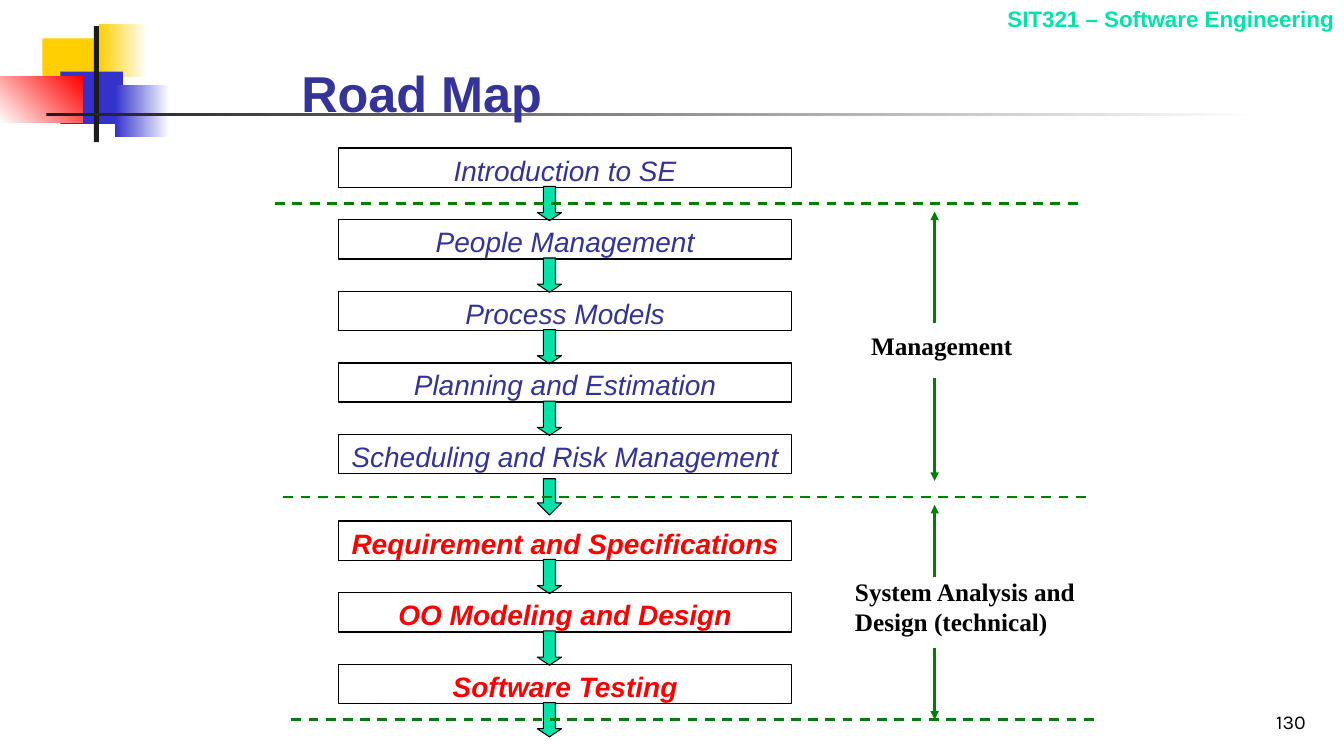
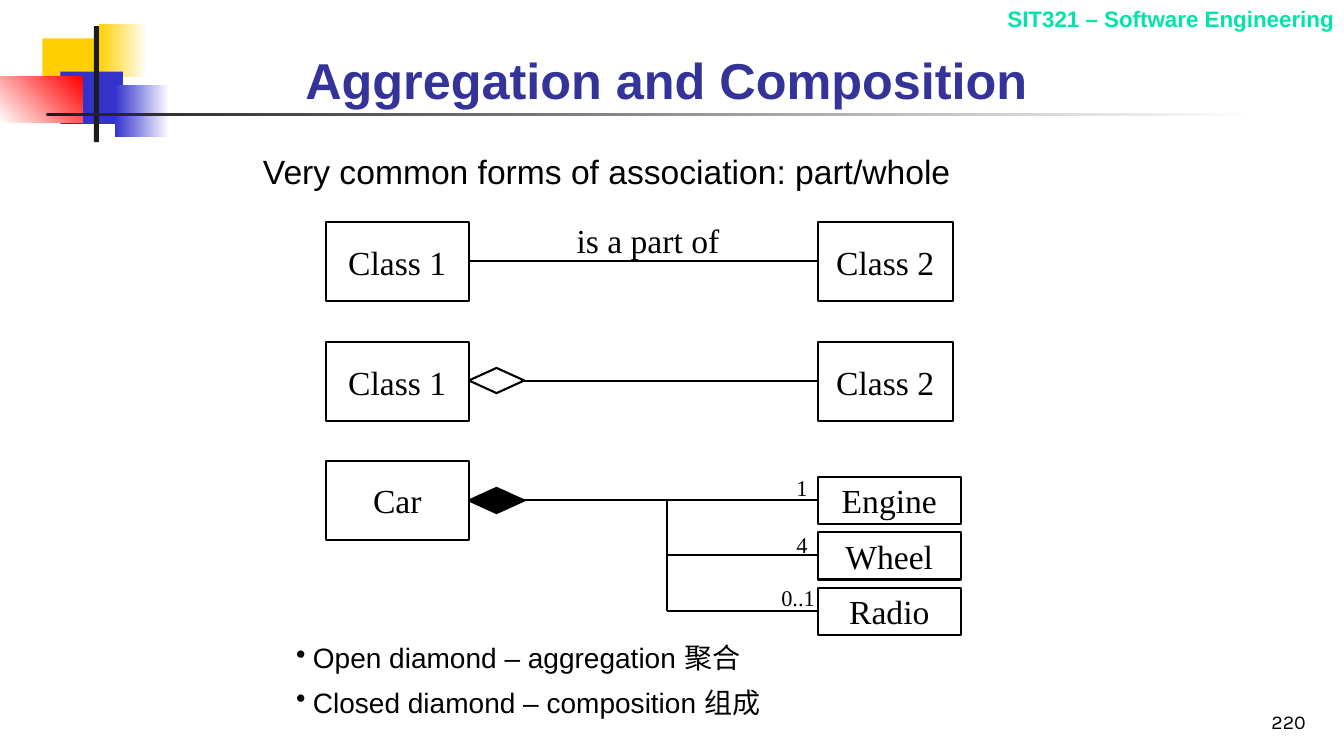
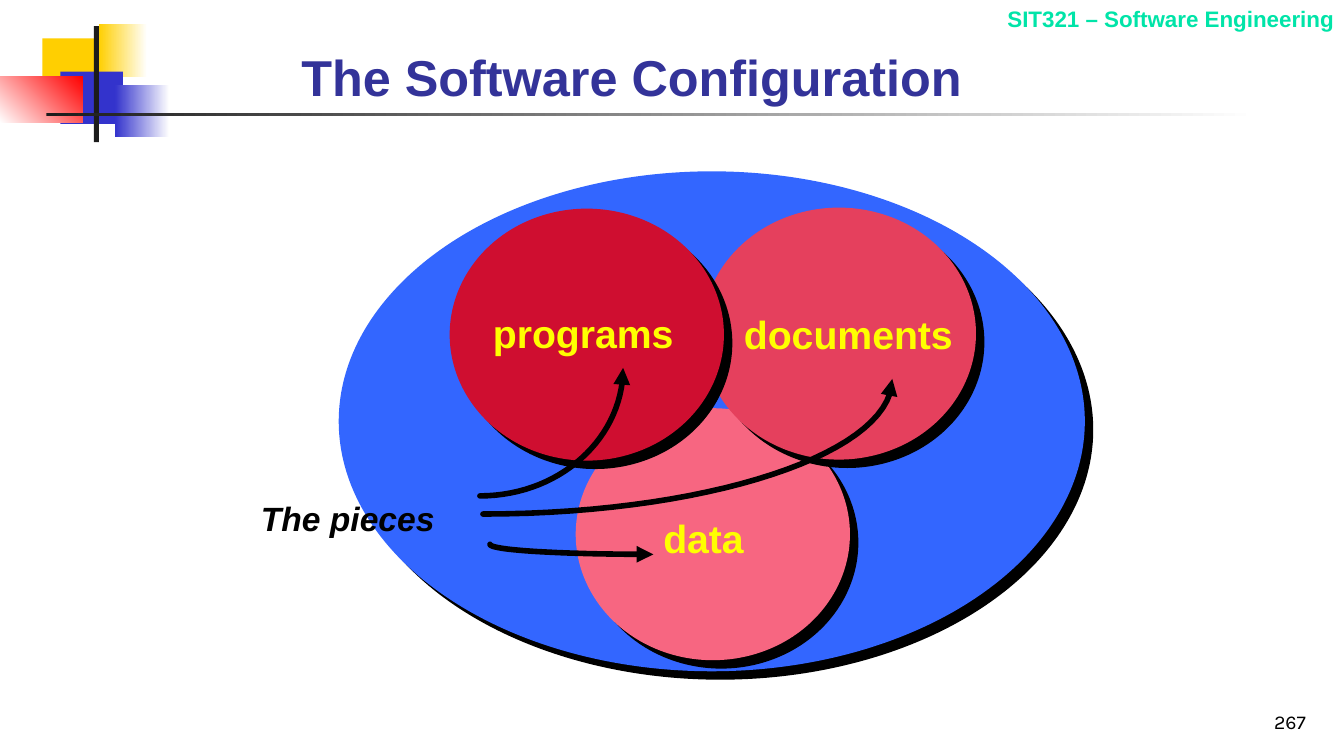
from lxml.etree import SubElement
from pptx import Presentation
from pptx.dml.color import RGBColor
from pptx.enum.dml import MSO_LINE
from pptx.enum.shapes import MSO_CONNECTOR, MSO_SHAPE as SHAPE
from pptx.enum.text import MSO_ANCHOR as ANCHOR, PP_ALIGN as ALIGN
from pptx.oxml.ns import qn
from pptx.util import Inches, Pt

# Shared colours and fonts
BLACK, WHITE, DARK = "000000", "FFFFFF", "1C1C1C"
NAVY, BLUE, GOLD, RED = "333399", "3333CC", "FFCF01", "FF0000"
MINT, GREEN, SKY, YELLOW = "00E4A8", "008000", "3366FF", "FFFF00"
SANS, SERIF, NUMBER_FONT = "Arial", "Times New Roman", "Karla"


def color(value):
    return RGBColor.from_string(value)


# Element helpers
def write_text(shape, text, size=24, font=SANS, fill=BLACK, bold=False, italic=False,
               align=ALIGN.LEFT, anchor=ANCHOR.TOP, wrap=True, inset=None,
               bullet=None, line_height=None):
    frame = shape.text_frame
    frame.word_wrap = wrap
    frame.vertical_anchor = anchor
    if inset is not None:
        frame.margin_left = frame.margin_right = Inches(inset)
        frame.margin_top = frame.margin_bottom = Inches(inset)
    frame.text = text
    for paragraph in frame.paragraphs:
        if bullet:
            properties = paragraph._p.get_or_add_pPr()
            properties.set("marL", str(Inches(0.165)))
            properties.set("indent", str(-Inches(0.165)))
            SubElement(properties, qn("a:buChar"), char=bullet)
        if line_height:
            paragraph.line_spacing = Pt(line_height)
        paragraph.alignment = align
        paragraph.font.name = font
        paragraph.font.size = Pt(size)
        paragraph.font.bold = bold
        paragraph.font.italic = italic
        paragraph.font.color.rgb = color(fill)


def add_text(slide, box, text, **style):
    shape = slide.shapes.add_textbox(*map(Inches, box))
    write_text(shape, text, **style)


def add_shape(slide, kind, box, fill=None, fade_to=None, angle=0, line=None, width=1.5):
    shape = slide.shapes.add_shape(kind, *map(Inches, box))
    shape.shadow.inherit = False
    if fade_to:
        shape.fill.gradient()
        shape.fill.gradient_angle = angle
        for stop, stop_color in zip(shape.fill.gradient_stops, (fill, fade_to)):
            stop.color.rgb = color(stop_color)
    elif fill:
        shape.fill.solid()
        shape.fill.fore_color.rgb = color(fill)
    else:
        shape.fill.background()
    if line:
        shape.line.color.rgb = color(line)
        shape.line.width = Pt(width)
    else:
        shape.line.fill.background()
    return shape


def add_arrowhead(shape):
    SubElement(shape.get_or_add_ln(), qn("a:tailEnd"), type="triangle")


def add_line(slide, start, end, line=BLACK, width=1.5, dashed=False, arrow=False):
    connector = slide.shapes.add_connector(MSO_CONNECTOR.STRAIGHT, *map(Inches, start + end))
    connector.line.color.rgb = color(line)
    connector.line.width = Pt(width)
    if dashed:
        connector.line.dash_style = MSO_LINE.DASH
    SubElement(connector._element.spPr, qn("a:effectLst"))
    if arrow:
        add_arrowhead(connector)


def add_curved_arrow(slide, *controls, steps=30):
    """Draw a cubic curve through four control points, with a head at the last."""
    points = []
    for step in range(steps + 1):
        t = step / steps
        weights = ((1 - t) ** 3, 3 * t * (1 - t) ** 2, 3 * t * t * (1 - t), t ** 3)
        points.append(tuple(Inches(sum(w * c for w, c in zip(weights, axis)))
                            for axis in zip(*controls)))
    builder = slide.shapes.build_freeform(*points[0])
    builder.add_line_segments(points[1:], close=False)
    curve = builder.convert_to_shape()
    curve.shadow.inherit = False
    curve.fill.background()
    curve.line.color.rgb = color(BLACK)
    curve.line.width = Pt(4)
    curve.get_or_add_ln().set("cap", "rnd")
    add_arrowhead(curve)


def add_shadowed_ellipse(slide, box, fill):
    ellipse = add_shape(slide, SHAPE.OVAL, box, fill)
    effects = ellipse._element.spPr.find(qn("a:effectLst"))
    shadow = SubElement(effects, qn("a:outerShdw"), blurRad="0", dist=str(Pt(8.5)),
                        dir=str(45 * 60000), algn="ctr", rotWithShape="0")
    SubElement(shadow, qn("a:srgbClr"), val=BLACK)


# Everything the slides share
def add_base_slide(presentation, title, title_box, number, anchor=ANCHOR.BOTTOM):
    slide = presentation.slides.add_slide(presentation.slide_layouts[6])
    decorations = [
        ((0.42, 0.38, 0.64, 0.52), GOLD, None, 0),
        ((0.98, 0.24, 0.48, 0.52), GOLD, WHITE, 0),
        ((0.6, 0.71, 0.62, 0.52), BLUE, None, 0),
        ((1.14, 0.84, 0.54, 0.52), BLUE, WHITE, 0),
        ((0, 0.76, 0.82, 0.46), WHITE, RED, 45),
        ((0.93, 0.26, 0.05, 1.15), DARK, None, 0),
        ((0.46, 1.12, 12, 0.03), DARK, WHITE, 0),
    ]
    for box, fill, fade_to, angle in decorations:
        add_shape(slide, SHAPE.RECTANGLE, box, fill, fade_to, angle)
    add_text(slide, (8.03, 0, 5.3, 0.37), "SIT321 – Software Engineering",
             size=16, fill=MINT, bold=True, align=ALIGN.RIGHT)
    add_text(slide, (10.27, 6.83, 2.78, 0.5), number, size=14, font=NUMBER_FONT,
             align=ALIGN.RIGHT, anchor=ANCHOR.BOTTOM)
    add_text(slide, title_box, title, size=36, fill=NAVY, bold=True, anchor=anchor)
    return slide


# Slide 1: road map
def build_road_map(presentation):
    slide = add_base_slide(presentation, "Road Map", (2.89, 0.52, 8.03, 0.75), "130")
    management = ["Introduction to SE", "People Management", "Process Models",
                  "Planning and Estimation", "Scheduling and Risk Management"]
    technical = ["Requirement and Specifications", "OO Modeling and Design",
                 "Software Testing"]
    pitch = 0.71
    for topics, first_top, fill, bold in ((management, 1.47, NAVY, False),
                                          (technical, 5.17, RED, True)):
        for index, topic in enumerate(topics):
            top = first_top + index * pitch
            box = add_shape(slide, SHAPE.RECTANGLE, (3.36, top, 4.49, 0.39),
                            line=BLACK, width=1)
            write_text(box, topic, size=20, fill=fill, bold=bold, italic=True,
                       align=ALIGN.CENTER)
            # The arrow between the two phases sits lower than the others
            between = topic == management[-1]
            arrow_top, height, head = (4.75, 0.36, 0.5) if between else (top + 0.38, 0.34, 0.335)
            arrow = add_shape(slide, SHAPE.DOWN_ARROW, (5.33, arrow_top, 0.24, height),
                              MINT, line=BLACK, width=0.75)
            arrow.adjustments[1] = head

    # Phase limits and spans
    for left, y in ((2.73, 2.02), (2.81, 4.93), (2.89, 7.14)):
        add_line(slide, (left, y), (left + 8.03, y), GREEN, 1.75, dashed=True)
    for start, end in ((3.2, 2.1), (3.75, 4.77), (5.72, 5.01), (6.43, 7.14)):
        add_line(slide, (9.27, start), (9.27, end), GREEN, 2, arrow=True)
    for box, label in (((8.64, 3.28, 1.73, 0.3), "Management"),
                       ((8.48, 5.72, 2.52, 0.6), "System Analysis and Design (technical)")):
        add_text(slide, box, label, size=18, font=SERIF, bold=True, inset=0)


# Slide 2: class diagrams
def add_class(slide, name, box):
    shape = add_shape(slide, SHAPE.RECTANGLE, box, line=BLACK)
    write_text(shape, name, font=SERIF, align=ALIGN.CENTER, anchor=ANCHOR.MIDDLE, inset=0)


def build_aggregation(presentation):
    slide = add_base_slide(presentation, "Aggregation and Composition",
                           (2.93, 0.53, 8.52, 0.61), "220")
    add_text(slide, (2.51, 1.45, 7.24, 0.5), "Very common forms of association: part/whole")
    whole_left, part_left, whole_right, diamond_right = 3.23, 8.11, 4.65, 5.2

    # Association and aggregation
    for top, line_start in ((2.2, whole_right), (3.39, diamond_right)):
        add_class(slide, "Class 1", (whole_left, top, 1.42, 0.79))
        add_class(slide, "Class 2", (part_left, top, 1.34, 0.79))
        add_line(slide, (line_start, top + 0.39), (part_left, top + 0.39))
    add_text(slide, (5.62, 2.13, 1.62, 0.5), "is a part of", font=SERIF, wrap=False)

    # Composition
    add_class(slide, "Car", (whole_left, 4.57, 1.42, 0.79))
    branch_x, first_y, pitch = 6.62, 4.96, 0.55
    parts = [("Engine", "1", 7.8, 4.65, 0.31), ("Wheel", "4", 7.8, 5.22, 0.31),
             ("Radio", "0..1", 7.64, 5.75, 0.55)]
    for index, (name, count, left, top, width) in enumerate(parts):
        y = first_y + index * pitch
        add_class(slide, name, (part_left, y - 0.23, 1.42, 0.47))
        add_line(slide, (branch_x if index else diamond_right, y), (part_left, y))
        add_text(slide, (left, top, width, 0.37), count, size=16, font=SERIF,
                 align=ALIGN.CENTER)
    add_line(slide, (branch_x, first_y), (branch_x, first_y + 2 * pitch))
    for top, fill in ((3.65, None), (4.84, BLACK)):
        add_shape(slide, SHAPE.DIAMOND, (whole_right, top, 0.55, 0.25), fill, line=BLACK)

    # Legend
    add_text(slide, (2.84, 6.2, 7.43, 0.98),
             "Open diamond – aggregation 聚合\nClosed diamond – composition 组成",
             size=20, bullet="•", line_height=31.7)


# Slide 3: software configuration
def build_configuration(presentation):
    slide = add_base_slide(presentation, "The Software Configuration",
                           (2.89, 0.28, 8.11, 0.95), "267", anchor=ANCHOR.MIDDLE)
    for box, fill in (((3.36, 1.7, 7.4, 4.96), SKY),
                      ((5.71, 4.05, 2.72, 2.5), "F76681"),
                      ((6.96, 2.06, 2.72, 2.5), "E5405D"),
                      ((4.46, 2.07, 2.72, 2.5), "CF0E30")):
        add_shadowed_ellipse(slide, box, fill)
    for box, label in (((4.79, 3.02, 1.99, 0.56), "programs"),
                       ((7.28, 3.03, 2.28, 0.56), "documents"),
                       ((6.48, 5.05, 1.01, 0.56), "data")):
        add_text(slide, box, label, size=28, fill=YELLOW, bold=True, wrap=False)
    add_text(slide, (2.49, 4.89, 1.94, 0.5), "The pieces", bold=True, italic=True, wrap=False)

    # Arrows from the label to each piece
    add_curved_arrow(slide, (4.86, 5.4), (4.86, 5.46), (5.58, 5.5), (6.48, 5.5))
    add_curved_arrow(slide, (4.79, 5.1), (7.03, 5.1), (8.85, 4.5), (8.85, 3.76))
    add_curved_arrow(slide, (4.76, 4.92), (5.55, 4.92), (6.18, 4.35), (6.18, 3.65))


def main():
    presentation = Presentation()
    presentation.slide_width = Inches(13.33)
    presentation.slide_height = Inches(7.5)
    build_road_map(presentation)
    build_aggregation(presentation)
    build_configuration(presentation)
    presentation.save("out.pptx")


if __name__ == "__main__":
    main()
